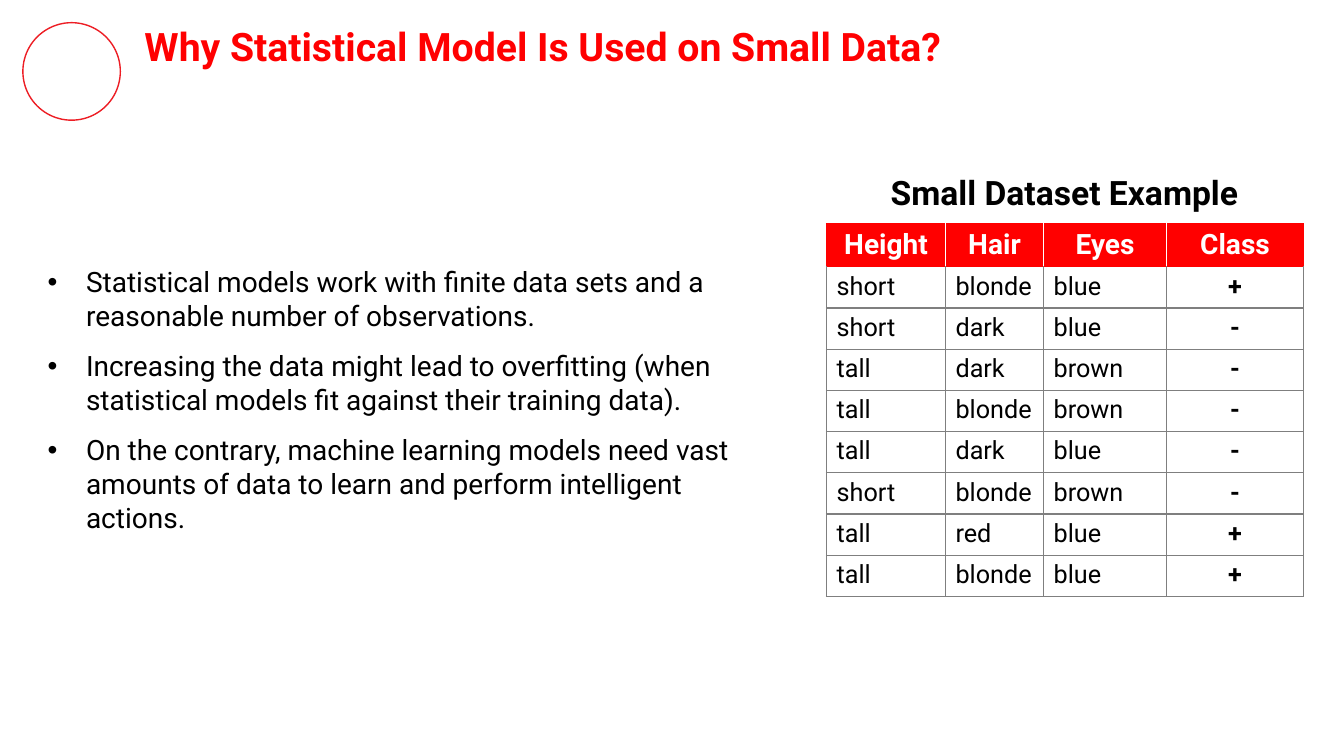
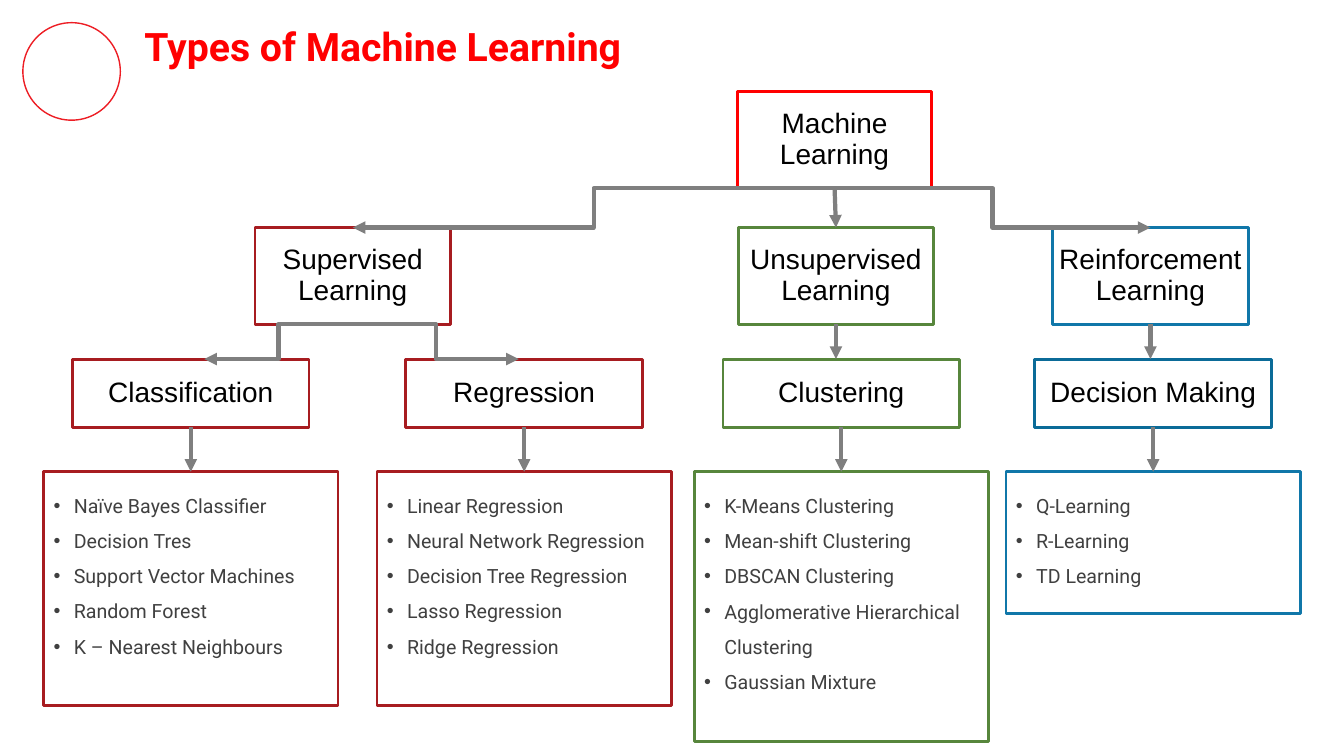
import dataclasses

import lxml.etree
import pptx
import pptx.dml.color
import pptx.enum.shapes
import pptx.enum.text
import pptx.oxml.ns
import pptx.util


@dataclasses.dataclass(frozen=True)
class Theme:
    head: str = "FF0001"
    red: str = "FF0000"
    ring: str = "ED1D24"
    wine: str = "A71C20"
    green: str = "57863C"
    blue: str = "1077A9"
    deep: str = "0B6B98"
    grey: str = "7F7F7F"
    ink: str = "000000"
    soft: str = "404040"
    white: str = "FFFFFF"
    font: str = "Roboto"
    plain: str = "Arial"
    title: int = 28
    label: int = 24
    body: int = 20
    cell: int = 18
    small: int = 14


T = Theme()
Pt, Inches = pptx.util.Pt, pptx.util.Inches
RGB = pptx.dml.color.RGBColor.from_string
Shape = pptx.enum.shapes.MSO_SHAPE
Link = pptx.enum.shapes.MSO_CONNECTOR
Align = pptx.enum.text.PP_ALIGN
Anchor = pptx.enum.text.MSO_ANCHOR
qn = pptx.oxml.ns.qn
sub = lxml.etree.SubElement

# Grid: 100 columns by 100 rows
deck = pptx.Presentation()
deck.slide_width, deck.slide_height = Inches(13.33), Inches(7.5)
COL, ROW = deck.slide_width / 100, deck.slide_height / 100


def at(x, y, w, h):
    """Turn columns and rows into lengths."""
    return [round(v) for v in (x * COL, y * ROW, w * COL, h * ROW)]


def say(frame, text, size=T.body, color=T.ink, font=T.font, bold=False,
        align=Align.LEFT, anchor=Anchor.TOP, inset=0.1, line=1.0,
        gap=0, last=0, hang=None):
    """Write one line of text, or a list of them, in a text frame."""
    frame.word_wrap = True
    frame.auto_size = pptx.enum.text.MSO_AUTO_SIZE.NONE
    frame.vertical_anchor = anchor
    frame.margin_left = frame.margin_right = Inches(inset)
    frame.margin_top = frame.margin_bottom = Inches(inset)
    lines = [text] if isinstance(text, str) else text
    for i, words in enumerate(lines):
        para = frame.add_paragraph() if i else frame.paragraphs[0]
        if hang:
            left, back = hang
            props = para._p.get_or_add_pPr()
            props.set("marL", str(round(left * COL)))
            props.set("indent", str(round(-back * COL)))
            sub(sub(props, qn("a:buClr")), qn("a:srgbClr"), val=color)
            sub(props, qn("a:buFont"), typeface="Arial")
            sub(props, qn("a:buChar"), char="•")
        para.alignment = align
        para.line_spacing = line
        para.space_before = Pt(gap if i else 0)
        para.space_after = Pt(last if i == len(lines) - 1 else 0)
        run = para.add_run()
        run.text = words
        run.font.name, run.font.size, run.font.bold = font, Pt(size), bold
        run.font.color.rgb = RGB(color)


# Shared title place, ring and title style
master = deck.slide_master
base = master.placeholders[0]
base.left, base.top, base.width, base.height = at(10, 1.6, 83.9, 8.9)
data = deck.slides.add_slide(deck.slide_layouts[1])
types = deck.slides.add_slide(deck.slide_layouts[5])

ring = data.shapes.add_shape(Shape.OVAL, *at(1.7, 3, 7.25, 12.9))
ring.shadow.inherit = False
ring.fill.background()
ring.line.color.rgb, ring.line.width = RGB(T.ring), Pt(1)
ring.element.nvSpPr.cNvPr.set("id", "20")
master.shapes.element.append(ring.element)

for slide, head in ((data, "Why Statistical Model Is Used on Small Data?"),
                    (types, "Types of Machine Learning")):
    say(slide.shapes.title.text_frame, head, size=T.title, color=T.head, bold=True)

# Slide 1: points
body = data.placeholders[1]
body.left, body.top, body.width, body.height = at(1.9, 33.7, 57.4, 40.8)
say(body.text_frame, [
    "Statistical models work with finite data sets and a reasonable number of observations.",
    "Increasing the data might lead to overfitting (when statistical models fit against "
    "their training data).",
    "On the contrary, machine learning models need vast amounts of data to learn and "
    "perform intelligent actions.",
], gap=12, last=12, hang=(3.75, 2.85))

# Slide 1: table and its caption
label = data.shapes.add_textbox(*at(61.5, 18.8, 35.4, 10.8))
say(label.text_frame, "Small Dataset Example", size=T.label, bold=True,
    align=Align.CENTER, line=1.5)

rows = [line.split() for line in (
    "Height Hair Eyes Class",
    "short blonde blue +",
    "short dark blue -",
    "tall dark brown -",
    "tall blonde brown -",
    "tall dark blue -",
    "short blonde brown -",
    "tall red blue +",
    "tall blonde blue +",
)]
wide = (8.85, 7.3, 9.15, 10.2)
tall = 5.45
grid = data.shapes.add_table(len(rows), len(wide),
                             *at(61.5, 29.6, sum(wide), tall * len(rows))).table
grid.horz_banding = False
for c, w in enumerate(wide):
    grid.columns[c].width = round(w * COL)
for r, row in enumerate(rows):
    grid.rows[r].height = round(tall * ROW)
    for c, word in enumerate(row):
        cell = grid.cell(r, c)
        top, end = r == 0, c == len(wide) - 1
        sides = dict(
            lnL=(T.white if c else T.red) if top else T.grey,
            lnR=(T.red if end else T.white) if top else T.grey,
            lnT=T.red if r < 2 else T.grey,
            lnB=T.red if top else T.grey)
        props = cell._tc.get_or_add_tcPr()
        for side, color in sides.items():
            edge = sub(props, qn("a:" + side), w=str(Pt(1)))
            sub(sub(edge, qn("a:solidFill")), qn("a:srgbClr"), val=color)
        cell.fill.solid()
        cell.fill.fore_color.rgb = RGB(T.red if top else T.white)
        say(cell.text_frame, word, size=T.body if top else T.cell,
            color=T.white if top else T.ink, bold=top or end,
            align=Align.CENTER if top or end else Align.LEFT)
        cell.margin_top = cell.margin_bottom = Inches(0.05)

# Slide 2: tiers of the tree as top, width, height
root, kind, task = (12.1, 14.4, 12.8), (30.1, 14.55, 12.8), (47.5, 17.6, 9)
name = dict(font=T.plain, align=Align.CENTER, anchor=Anchor.MIDDLE,
            inset=0.01, line=0.9)
points = dict(size=T.small, color=T.soft, line=1.5, hang=(1.5, 1.5))
leaves = [
    (14.2, "Classification", T.wine, T.wine, 30.9, [
        "Naïve Bayes Classifier", "Decision Tres", "Support Vector Machines",
        "Random Forest", "K – Nearest Neighbours"]),
    (39, "Regression", T.wine, T.wine, 30.9, [
        "Linear Regression", "Neural Network Regression",
        "Decision Tree Regression", "Lasso Regression", "Ridge Regression"]),
    (62.6, "Clustering", T.green, T.green, 35.7, [
        "K-Means Clustering", "Mean-shift Clustering", "DBSCAN Clustering",
        "Agglomerative Hierarchical Clustering", "Gaussian Mixture"]),
    (85.8, "Decision Making", T.deep, T.blue, 18.8, [
        "Q-Learning", "R-Learning", "TD Learning"]),
]

# Slide 2: boxes as centre, tier, text, colour, format
boxes = [
    (62.1, root, "Machine Learning", T.red, name),
    (26.25, kind, "Supervised Learning", T.wine, name),
    (62.2, kind, "Unsupervised Learning", T.green, name),
    (85.6, kind, "Reinforcement Learning", T.blue, name),
]
for mid, word, color, edge, high, items in leaves:
    boxes.append((mid, task, word, color, name))
    boxes.append((mid, (62.4, 21.9, high), items, edge, points))
for mid, (top, w, h), text, color, style in boxes:
    box = types.shapes.add_shape(Shape.RECTANGLE, *at(mid - w / 2, top, w, h))
    box.shadow.inherit = False
    box.fill.solid()
    box.fill.fore_color.rgb = RGB(T.white)
    box.line.color.rgb, box.line.width = RGB(color), Pt(2)
    say(box.text_frame, text, **style)

# Slide 2: arrows as start, end, top, foot
joins = [(62.1, x, 24.9, 30.1) for x in (26.25, 62.2, 85.6)]
joins += [(a, b, 42.9, 47.5) for a, b in
          ((26.25, 15.2), (26.25, 38.6), (62.2, 62.2), (85.6, 85.6))]
joins += [(leaf[0], leaf[0], 56.5, 62.4) for leaf in leaves]
for start, end, top, foot in joins:
    form = Link.STRAIGHT if abs(start - end) < 1 else Link.ELBOW
    link = types.shapes.add_connector(form, *at(start, top, end, foot))
    link.line.color.rgb, link.line.width = RGB(T.grey), Pt(3)
    props = link.element.spPr
    sub(props.find(qn("a:ln")), qn("a:tailEnd"), type="triangle")
    sub(props, qn("a:effectLst"))

deck.save("out.pptx")
